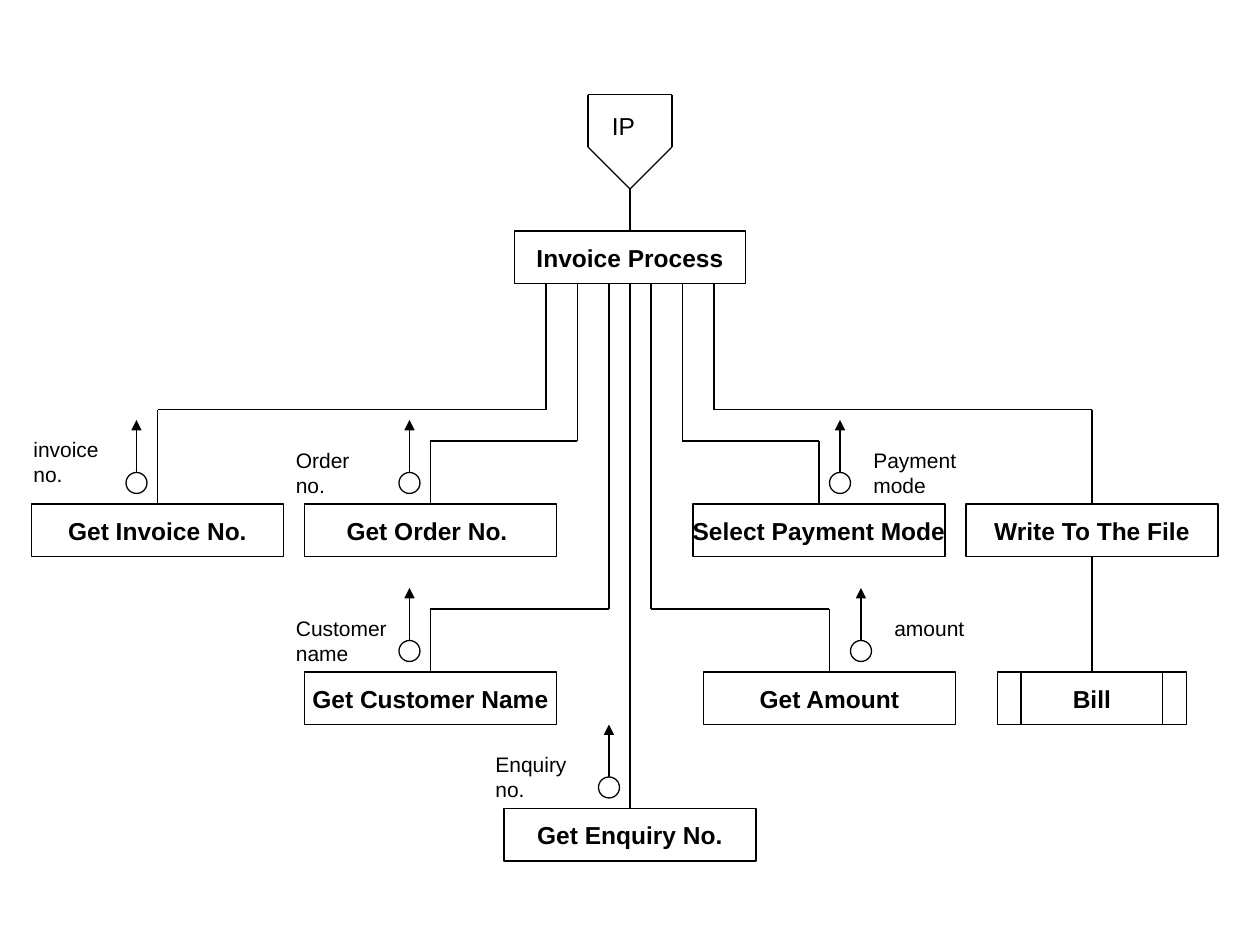
from dataclasses import dataclass
from itertools import pairwise
from typing import Any, NamedTuple

from lxml import etree
from pptx import Presentation, util as u
from pptx.dml.color import RGBColor
from pptx.enum import shapes, text
from pptx.oxml.ns import qn

PX = u.Inches(1) // 120


@dataclass(frozen=True)
class Theme:
    ink: RGBColor = RGBColor(0, 0, 0)
    paper: RGBColor = RGBColor(255, 255, 255)
    font: str = "Arial"
    title_size: int = 14
    label_size: int = 12
    line_width: float = 0.75


class Module(NamedTuple):
    name: str
    left: int
    top: int
    width: int = 240
    kind: Any = shapes.MSO_SHAPE.FLOWCHART_PROCESS


class Branch(NamedTuple):
    drop_x: int
    turn_y: int
    child_x: int
    child_top: int


class Label(NamedTuple):
    lines: tuple[str, ...]
    left: int
    top: int
    width: int
    height: int
    size: int


class DataFlow(NamedTuple):
    center_x: int
    circle_top: int
    label: Label


THEME = Theme()
MODULE_HEIGHT = 50
CIRCLE = 20
ROOT_BOTTOM = 270

MODULES = [
    Module("Invoice Process", 490, 220, 220),
    Module("Get Invoice No.", 30, 480),
    Module("Get Order No. ", 290, 480),
    Module("Select Payment Mode", 660, 480),
    Module("Write To The File", 920, 480),
    Module("Get Customer Name", 290, 640),
    Module("Get Amount", 670, 640),
    Module("Get Enquiry No.", 480, 770),
    Module("Bill", 950, 640, 180, shapes.MSO_SHAPE.FLOWCHART_PREDEFINED_PROCESS),
]
BRANCHES = [
    Branch(520, 390, 150, 480),
    Branch(550, 420, 410, 480),
    Branch(580, 580, 410, 640),
    Branch(620, 580, 790, 640),
    Branch(650, 420, 780, 480),
    Branch(680, 390, 1040, 480),
]
ROUTES = [
    [(560, 90), (640, 90), (640, 140), (600, 180), (560, 140), (560, 90)],
    [(600, 180), (600, 220)],
    [(600, ROOT_BOTTOM), (600, 720)],
    [(600, 710), (600, 770)],
    [(1040, 530), (1040, 640)],
]
SMALL = THEME.label_size
FLOWS = [
    DataFlow(130, 450, Label(("invoice", "no."), 20, 410, 88, 60, SMALL)),
    DataFlow(390, 450, Label(("Order", "no."), 270, 420, 82, 84, SMALL)),
    DataFlow(800, 450, Label(("Payment", "mode"), 820, 420, 106, 84, SMALL)),
    DataFlow(390, 610, Label(("Customer", "name"), 270, 580, 114, 60, SMALL)),
    DataFlow(820, 610, Label(("amount",), 840, 580, 94, 60, SMALL)),
    DataFlow(580, 740, Label(("Enquiry", "no."), 460, 710, 95, 84, SMALL)),
]
ENTRY = Label(("IP",), 571, 100, 46, 41, THEME.title_size)


def px(*lengths: int) -> list[int]:
    return [n * PX for n in lengths]


def assign(target: Any, values: dict[str, Any]) -> None:
    for name, value in values.items():
        setattr(target, name, value)


def write(p: Any, words: str, size: int, bold: bool = False) -> None:
    r = p.add_run()
    r.text = words
    assign(r.font, {"name": THEME.font, "size": u.Pt(size), "bold": bold})
    r.font.color.rgb = THEME.ink


def outline(shape: Any) -> None:
    shape.line.color.rgb = THEME.ink
    shape.line.width = u.Pt(THEME.line_width)


def add_route(s: Any, points: list[tuple[int, int]], arrow: bool = False) -> None:
    """Join the points with straight lines, with an optional arrowhead on each."""
    for start, end in pairwise(points):
        line = s.shapes.add_connector(shapes.MSO_CONNECTOR.STRAIGHT, *px(*start, *end))
        outline(line)
        if arrow:
            etree.SubElement(line.line._get_or_add_ln(), qn("a:tailEnd"), type="triangle")
        etree.SubElement(line._element.spPr, qn("a:effectLst"))


def add_box(s: Any, kind: Any, left: int, top: int, width: int, height: int) -> Any:
    sp = s.shapes.add_shape(kind, *px(left, top, width, height))
    sp.shadow.inherit = False
    sp.fill.solid()
    sp.fill.fore_color.rgb = THEME.paper
    outline(sp)
    return sp


def add_module(s: Any, module: Module) -> None:
    sp = add_box(s, module.kind, module.left, module.top, module.width, MODULE_HEIGHT)
    tf = sp.text_frame
    assign(tf, {"word_wrap": False, "vertical_anchor": text.MSO_ANCHOR.MIDDLE,
                "margin_left": u.Inches(0.1), "margin_right": u.Inches(0.1)})
    p = tf.paragraphs[0]
    p.alignment = text.PP_ALIGN.CENTER
    write(p, module.name, THEME.title_size, bold=True)


def add_label(s: Any, label: Label) -> None:
    box = s.shapes.add_textbox(*px(label.left, label.top, label.width, label.height))
    tf = box.text_frame
    assign(tf, {"word_wrap": False, "auto_size": text.MSO_AUTO_SIZE.SHAPE_TO_FIT_TEXT})
    for i, words in enumerate(label.lines):
        write(tf.add_paragraph() if i else tf.paragraphs[0], words, label.size)


def add_flow(s: Any, flow: DataFlow) -> None:
    """Draw a data couple: an arrow rising from a circle, and its label."""
    x, top = flow.center_x, flow.circle_top
    add_route(s, [(x, top + CIRCLE // 2), (x, top - 50)], arrow=True)
    add_box(s, shapes.MSO_SHAPE.OVAL, x - CIRCLE // 2, top, CIRCLE, CIRCLE)
    add_label(s, flow.label)


def main() -> None:
    prs = Presentation()
    assign(prs, {"slide_width": 1200 * PX, "slide_height": 900 * PX})
    s = prs.slides.add_slide(prs.slide_layouts[6])
    for route in ROUTES:
        add_route(s, route)
    for b in BRANCHES:
        add_route(s, [(b.drop_x, ROOT_BOTTOM), (b.drop_x, b.turn_y),
                      (b.child_x, b.turn_y), (b.child_x, b.child_top)])
    for module in MODULES:
        add_module(s, module)
    add_label(s, ENTRY)
    for flow in FLOWS:
        add_flow(s, flow)
    prs.save("out.pptx")


if __name__ == "__main__":
    main()
